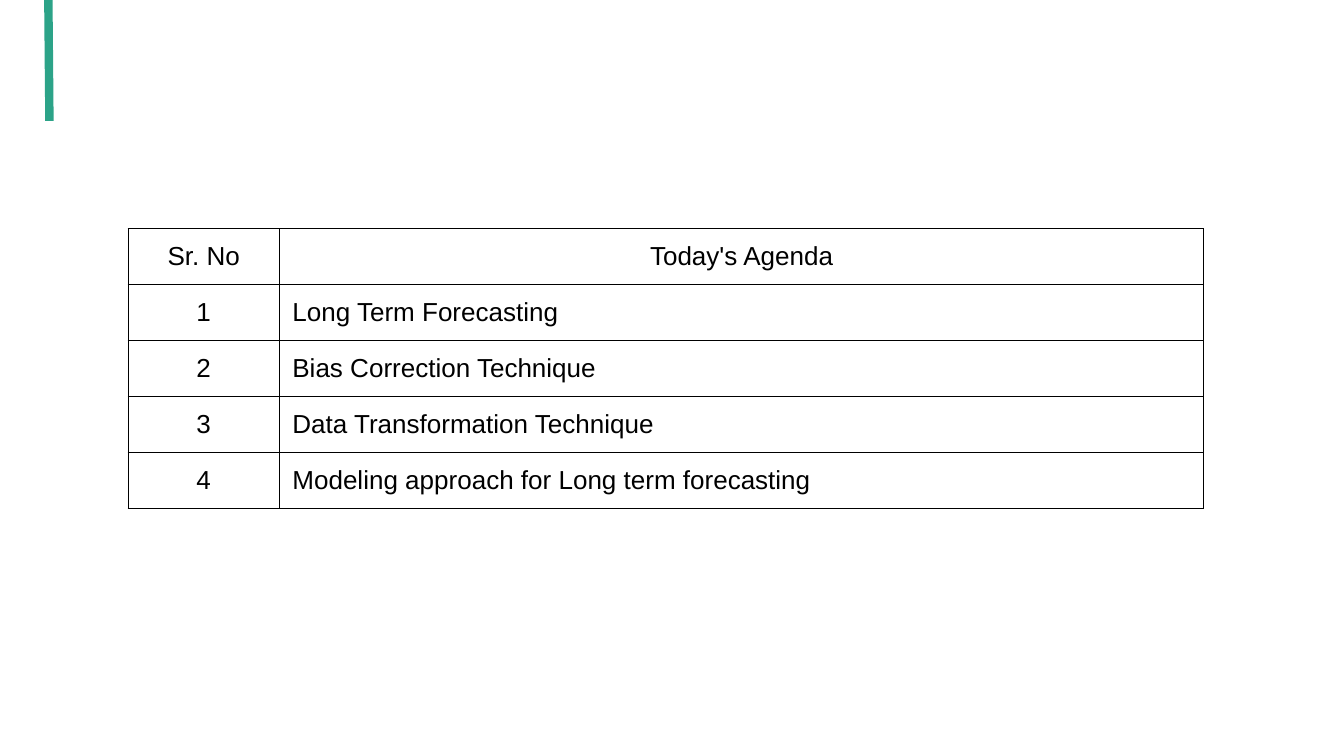
"""Build the agenda slide: an accent line above a ruled two-column table."""
from dataclasses import dataclass
from itertools import product

from lxml.etree import SubElement
from pptx import Presentation
from pptx.dml.color import RGBColor
from pptx.enum.text import MSO_ANCHOR as Anchor, PP_ALIGN as Align
from pptx.oxml.ns import qn
from pptx.slide import Slide
from pptx.table import _Cell as Cell
from pptx.util import Inches, Length, Pt


@dataclass(frozen=True)
class Theme:
    """Colours, type and line sizes of the slide."""
    accent: str = "2CA388"
    ink: str = "000000"
    paper: str = "FFFFFF"
    font: str = "Arial"
    text_size: float = 18.6
    accent_width: float = 6
    border_width: float = 1


@dataclass(frozen=True)
class AccentLine:
    """End points in percent of the slide."""
    start: tuple[float, float]
    end: tuple[float, float]


@dataclass(frozen=True)
class Agenda:
    """Place and column widths in percent of the slide, with the listed topics."""
    left: float
    top: float
    columns: tuple[float, ...]
    row: float
    headings: tuple[str, str]
    topics: tuple[str, ...]

    def rows(self) -> list[tuple[str, str]]:
        """Return the heading row and the numbered topics."""
        return [self.headings, *((str(number), topic) for number, topic in enumerate(self.topics, 1))]


THEME = Theme()
WIDTH, HEIGHT = Inches(13.33), Inches(7.5)
ACCENT = AccentLine(start=(3.6, 0), end=(3.68, 16))
AGENDA = Agenda(
    left=9.53, top=30.27, columns=(11.25, 68.79), row=7.41,
    headings=("Sr. No", "Today's Agenda"),
    topics=(
        "Long Term Forecasting",
        "Bias Correction Technique",
        "Data Transformation Technique",
        "Modeling approach for Long term forecasting",
    ),
)


def across(percent: float) -> Length:
    """Convert a share of the slide width."""
    return Length(round(WIDTH * percent / 100))


def down(percent: float) -> Length:
    """Convert a share of the slide height."""
    return Length(round(HEIGHT * percent / 100))


def draw_accent(slide: Slide, accent: AccentLine) -> None:
    """Draw the thick accent line without a shadow."""
    (start_x, start_y), (end_x, end_y) = accent.start, accent.end
    connector = slide.shapes.add_connector(1, across(start_x), down(start_y), across(end_x), down(end_y))
    connector.line.color.rgb = RGBColor.from_string(THEME.accent)
    connector.line.width = Pt(THEME.accent_width)
    SubElement(connector._element.spPr, qn("a:effectLst"))


def rule_cell(cell: Cell) -> None:
    """Fill the cell and rule all four of its sides."""
    properties = cell._tc.get_or_add_tcPr()
    for side in ("a:lnL", "a:lnR", "a:lnT", "a:lnB"):
        border = SubElement(properties, qn(side), w=str(Pt(THEME.border_width)))
        SubElement(SubElement(border, qn("a:solidFill")), qn("a:srgbClr"), val=THEME.ink)
    cell.fill.solid()
    cell.fill.fore_color.rgb = RGBColor.from_string(THEME.paper)


def write_cell(cell: Cell, text: str, align: Align) -> None:
    """Set the text of the cell, its margins and its type."""
    cell.text = text
    cell.vertical_anchor = Anchor.MIDDLE
    cell.margin_left = cell.margin_right = Inches(0.13)
    cell.margin_top = cell.margin_bottom = Inches(0.07)
    paragraph = cell.text_frame.paragraphs[0]
    paragraph.alignment = align
    paragraph.font.name = THEME.font
    paragraph.font.size = Pt(THEME.text_size)
    paragraph.font.color.rgb = RGBColor.from_string(THEME.ink)


def draw_agenda(slide: Slide, agenda: Agenda) -> None:
    """Draw the agenda table with centred headings and numbers."""
    rows = agenda.rows()
    table = slide.shapes.add_table(
        len(rows), len(agenda.columns), across(agenda.left), down(agenda.top),
        across(sum(agenda.columns)), down(agenda.row * len(rows)),
    ).table
    table.first_row = table.horz_banding = False
    for column, width in zip(table.columns, agenda.columns):
        column.width = across(width)
    for row_index, column_index in product(range(len(rows)), range(len(agenda.columns))):
        cell = table.cell(row_index, column_index)
        is_topic = row_index > 0 and column_index > 0
        write_cell(cell, rows[row_index][column_index], Align.LEFT if is_topic else Align.CENTER)
        rule_cell(cell)


def main() -> None:
    """Build and save the presentation."""
    presentation = Presentation()
    presentation.slide_width, presentation.slide_height = WIDTH, HEIGHT
    slide = presentation.slides.add_slide(presentation.slide_layouts[6])
    draw_accent(slide, ACCENT)
    draw_agenda(slide, AGENDA)
    presentation.save("out.pptx")


main()
